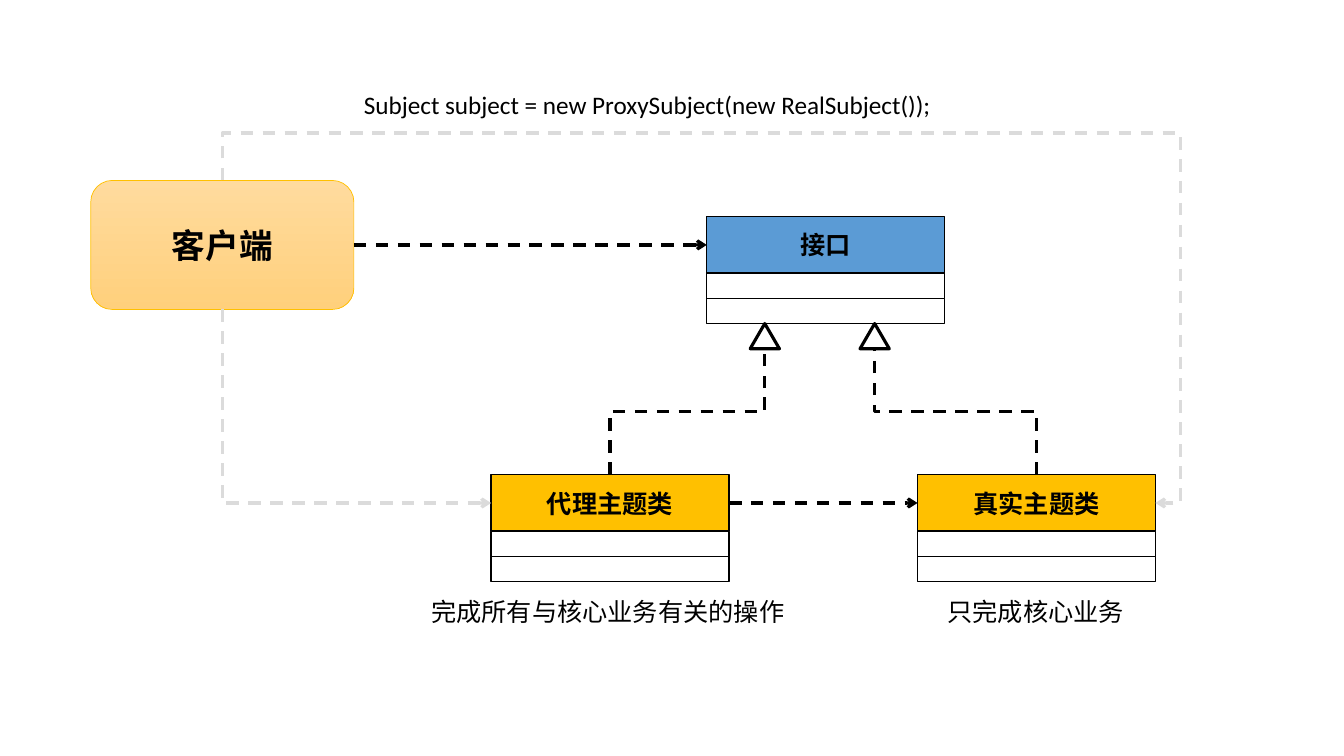
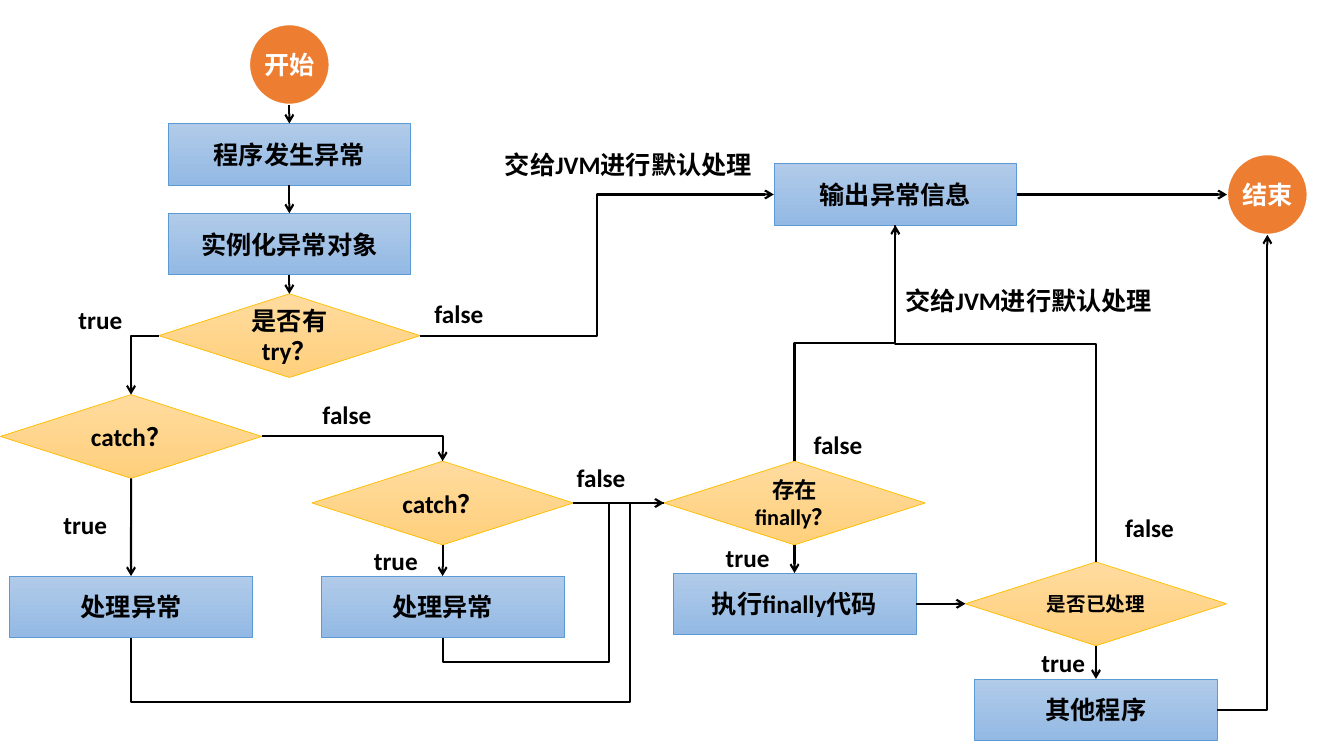
import pptx
import pptx.dml.color
import pptx.enum.dml
import pptx.enum.shapes
import pptx.enum.text
import pptx.oxml.ns
import pptx.util
from lxml import etree

Inches = pptx.util.Inches
Pt = pptx.util.Pt
RGBColor = pptx.dml.color.RGBColor
MSO_SHAPE = pptx.enum.shapes.MSO_SHAPE
MSO_CONNECTOR = pptx.enum.shapes.MSO_CONNECTOR
PP_ALIGN = pptx.enum.text.PP_ALIGN
MSO_ANCHOR = pptx.enum.text.MSO_ANCHOR
qn = pptx.oxml.ns.qn

BLACK = RGBColor(0x00, 0x00, 0x00)
WHITE = RGBColor(0xFF, 0xFF, 0xFF)
GREY = RGBColor(0xDB, 0xDB, 0xDB)
GOLD = RGBColor(0xFF, 0xC0, 0x00)
BLUE = RGBColor(0x5B, 0x9B, 0xD5)
ORANGE = RGBColor(0xED, 0x7D, 0x31)
GOLD_GRADIENT = (RGBColor(0xFF, 0xDB, 0x9E), RGBColor(0xFF, 0xD0, 0x7C))
BLUE_GRADIENT = (RGBColor(0xB1, 0xCB, 0xE9), RGBColor(0x93, 0xB9, 0xE4))

FONT = "Calibri"
SIDES = {"top": (0.5, 0), "left": (0, 0.5), "bottom": (0.5, 1), "right": (1, 0.5)}
SITES = {
    MSO_SHAPE.OVAL: {"top": 0, "left": 2, "bottom": 4, "right": 6},
    MSO_SHAPE.ISOSCELES_TRIANGLE: {"top": 0, "bottom": 3},
}
DEFAULT_SITES = {"top": 0, "left": 1, "bottom": 2, "right": 3}


def write(tf, text, size, color, bold, align):
    p = tf.paragraphs[0]
    p.text = text
    p.alignment = align
    p.font.name = FONT
    p.font.size = Pt(size)
    p.font.bold = bold
    p.font.color.rgb = color


def add_shape(slide, kind, x, y, w, h, fill, line, width, text="", size=18, color=BLACK):
    sp = slide.shapes.add_shape(kind, Inches(x), Inches(y), Inches(w), Inches(h))
    sp.shadow.inherit = False
    if isinstance(fill, RGBColor):
        sp.fill.solid()
        sp.fill.fore_color.rgb = fill
    else:
        sp.fill.gradient()
        sp.fill.gradient_angle = 270
        for stop, rgb in zip(sp.fill.gradient_stops, fill):
            stop.color.rgb = rgb
    sp.line.color.rgb = line
    sp.line.width = Pt(width)
    if text:
        sp.text_frame.word_wrap = True
        sp.text_frame.vertical_anchor = MSO_ANCHOR.MIDDLE
        write(sp.text_frame, text, size, color, True, PP_ALIGN.CENTER)
    return sp


def add_label(slide, x, y, w, text, bold=True):
    tf = slide.shapes.add_textbox(Inches(x), Inches(y), Inches(w), Inches(0.4)).text_frame
    tf.word_wrap = True
    tf.margin_right = 0
    write(tf, text, 18, BLACK, bold, PP_ALIGN.LEFT)


def add_class(slide, x, y, name, fill):
    w, head, row = 2.36, 0.56, 0.25
    sp = add_shape(slide, MSO_SHAPE.RECTANGLE, x, y, w, head, fill, BLACK, 1, name)
    for i in range(2):
        add_shape(slide, MSO_SHAPE.RECTANGLE, x, y + head + i * row, w, row, WHITE, BLACK, 1)
    return sp


def add_triangle(slide, x, y):
    return add_shape(slide, MSO_SHAPE.ISOSCELES_TRIANGLE, x, y, 0.29, 0.25, WHITE, BLACK, 2.25)


def add_node(slide, kind, cx, cy, w, h, fill, line, width, text, size=18, color=BLACK):
    return add_shape(slide, kind, cx - w / 2, cy - h / 2, w, h, fill, line, width, text, size, color)


def add_step(slide, cx, cy, text):
    return add_node(slide, MSO_SHAPE.RECTANGLE, cx, cy, 2.41, 0.61, BLUE_GRADIENT, BLUE, 0.5, text)


def add_decision(slide, cx, cy, text, size=18):
    return add_node(slide, MSO_SHAPE.FLOWCHART_DECISION, cx, cy, 2.59, 0.83,
                    GOLD_GRADIENT, GOLD, 0.5, text, size)


def add_terminal(slide, cx, cy, text):
    sp = add_node(slide, MSO_SHAPE.OVAL, cx, cy, 0.8, 0.8, ORANGE, WHITE, 1.5, text, color=WHITE)
    tf = sp.text_frame
    tf.margin_left = tf.margin_right = 0
    tf.word_wrap = False


def site_point(sp, side):
    fx, fy = SIDES[side]
    return int(sp.left + fx * sp.width), int(sp.top + fy * sp.height)


def glue(cxn, tag, sp, side):
    site = SITES.get(sp.auto_shape_type, DEFAULT_SITES)[side]
    parent = cxn._element.find(".//" + qn("p:cNvCxnSpPr"))
    etree.SubElement(parent, qn(tag), id=str(sp.shape_id), idx=str(site))


def bend_connector(cxn, start, end, vertical, perpendicular, bends):
    dx, dy = end[0] - start[0], end[1] - start[1]
    geom = cxn._element.spPr.find(qn("a:prstGeom"))
    geom.set("prst", "bentConnector%d" % (2 if perpendicular and not bends else 2 + max(len(bends), 1)))
    guides = geom.find(qn("a:avLst"))
    for i, bend in enumerate(bends):
        axis = (i + vertical) % 2
        share = (Inches(bend) - start[axis]) / (end[axis] - start[axis])
        etree.SubElement(guides, qn("a:gd"), name="adj%d" % (i + 1), fmla="val %d" % round(share * 100000))
    if vertical:
        w, h = abs(dy), abs(dx)
        cxn.left = (start[0] + end[0] - w) // 2
        cxn.top = (start[1] + end[1] - h) // 2
        cxn.width, cxn.height = w, h
        xfrm = cxn._element.spPr.find(qn("a:xfrm"))
        xfrm.set("rot", str((270 if dx * dy > 0 else 90) * 60000))
        xfrm.set("flipH", str(int(dx > 0)))
        xfrm.set("flipV", str(int(dy < 0)))


def link(slide, a, a_side, b, b_side, bends=(), color=BLACK, width=1.5, dashed=False, arrow=True):
    start, end = site_point(a, a_side), site_point(b, b_side)
    vertical = a_side in ("top", "bottom")
    perpendicular = vertical != (b_side in ("top", "bottom"))
    across = 0 if vertical else 1
    straight = not perpendicular and abs(end[across] - start[across]) < Inches(0.02)
    kind = MSO_CONNECTOR.STRAIGHT if straight else MSO_CONNECTOR.ELBOW
    cxn = slide.shapes.add_connector(kind, *start, *end)
    glue(cxn, "a:stCxn", a, a_side)
    glue(cxn, "a:endCxn", b, b_side)
    if not straight:
        bend_connector(cxn, start, end, vertical, perpendicular, bends)
    cxn.line.color.rgb = color
    cxn.line.width = Pt(width)
    if dashed:
        cxn.line.dash_style = pptx.enum.dml.MSO_LINE.DASH
    if arrow:
        etree.SubElement(cxn._element.spPr.find(qn("a:ln")), qn("a:tailEnd"), type="arrow")
    etree.SubElement(cxn._element.spPr, qn("a:effectLst"))


def build_proxy_slide(slide):
    proxy = add_class(slide, 4.87, 4.71, "代理主题类", GOLD)
    real = add_class(slide, 9.1, 4.71, "真实主题类", GOLD)
    interface = add_class(slide, 7.01, 2.15, "接口", BLUE)
    client = add_shape(slide, MSO_SHAPE.ROUNDED_RECTANGLE, 0.9, 1.79, 2.61, 1.28,
                       GOLD_GRADIENT, GOLD, 0.5, "客户端", 24)

    for subject, x in ((proxy, 7.44), (real, 8.53)):
        link(slide, subject, "top", add_triangle(slide, x, 3.21), "bottom",
             width=2.25, dashed=True, arrow=False)
    for a, a_side, b, b_side, bends, color in (
        (proxy, "right", real, "left", (), BLACK),
        (client, "right", interface, "left", (), BLACK),
        (client, "top", real, "right", (1.32, 11.71), GREY),
        (client, "bottom", proxy, "left", (), GREY),
    ):
        link(slide, a, a_side, b, b_side, bends, color, 2.25, True)

    for x, y, w, text in (
        (9.3, 5.87, 1.97, "只完成核心业务"),
        (4.18, 5.87, 3.74, "完成所有与核心业务有关的操作"),
        (3.51, 0.84, 5.98, "Subject subject = new ProxySubject(new RealSubject());"),
    ):
        add_label(slide, x, y, w, text, bold=False)


def build_exception_slide(slide):
    add_terminal(slide, 2.87, 0.64, "开始")
    start = slide.shapes[-1]
    add_terminal(slide, 12.57, 1.93, "结束")
    finish = slide.shapes[-1]

    raised = add_step(slide, 2.87, 1.53, "程序发生异常")
    created = add_step(slide, 2.87, 2.42, "实例化异常对象")
    handled_first = add_step(slide, 1.3, 6.02, "处理异常")
    handled_second = add_step(slide, 4.39, 6.02, "处理异常")
    output = add_step(slide, 8.88, 1.93, "输出异常信息")
    run_finally = add_step(slide, 7.88, 5.99, "执行finally代码")
    others = add_step(slide, 10.87, 7.04, "其他程序")

    has_try = add_decision(slide, 2.87, 3.33, "是否有try？")
    catch_first = add_decision(slide, 1.3, 4.33, "catch？")
    catch_second = add_decision(slide, 4.39, 4.99, "catch？")
    has_finally = add_decision(slide, 7.88, 4.99, "存在finally？", 16)
    processed = add_decision(slide, 10.87, 5.99, "是否已处理", 14)

    for a, b in (
        (start, raised), (raised, created), (created, has_try),
        (catch_first, handled_first), (catch_second, handled_second),
        (has_finally, run_finally), (processed, others),
    ):
        link(slide, a, "bottom", b, "top")
    for a, b in (
        (catch_second, has_finally), (run_finally, processed),
        (output, finish), (has_try, output),
    ):
        link(slide, a, "right", b, "left")
    link(slide, has_try, "left", catch_first, "top")
    link(slide, catch_first, "right", catch_second, "top")
    link(slide, others, "right", finish, "bottom")
    link(slide, has_finally, "top", output, "bottom")
    link(slide, processed, "top", output, "bottom", (3.41,), arrow=False)
    link(slide, handled_first, "bottom", has_finally, "left", (6.96, 6.25), arrow=False)
    link(slide, handled_second, "bottom", has_finally, "left", (6.57, 6.04), arrow=False)

    for text, w, places in (
        ("true", 0.64, ((0.68, 2.97), (0.53, 5), (3.61, 5.36), (7.1, 5.33), (10.23, 6.37))),
        ("false", 0.69, ((3.1, 3.91), (5.62, 4.54), (4.21, 2.91), (7.97, 4.21), (11.06, 5.03))),
        ("交给JVM进行默认处理", 2.59, ((4.91, 1.43), (8.88, 2.78))),
    ):
        for x, y in places:
            add_label(slide, x, y, w, text)


def main():
    prs = pptx.Presentation()
    prs.slide_width = Inches(13.33)
    prs.slide_height = Inches(7.5)
    for build in (build_proxy_slide, build_exception_slide):
        build(prs.slides.add_slide(prs.slide_layouts[6]))
    prs.save("out.pptx")


if __name__ == "__main__":
    main()
